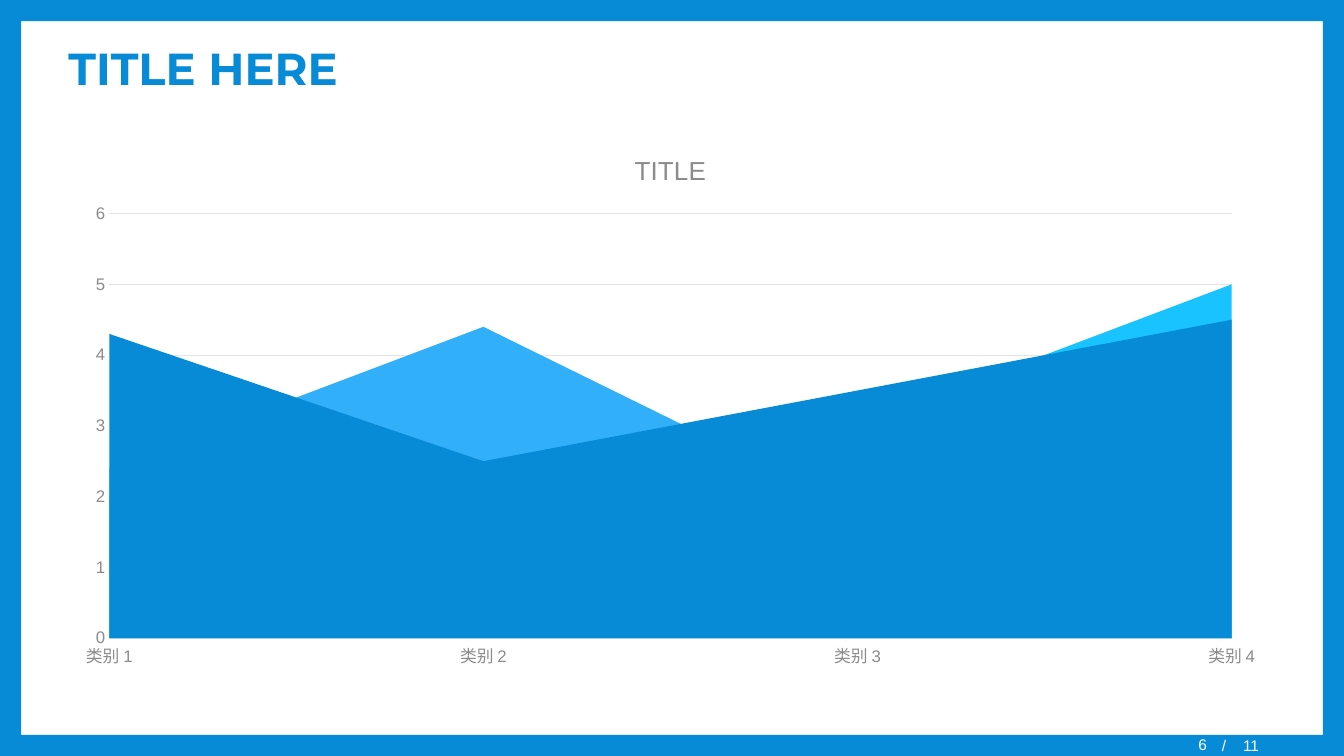
from dataclasses import dataclass

from lxml import etree
from pptx import Presentation
from pptx.chart.data import CategoryChartData
from pptx.dml.color import RGBColor
from pptx.enum.chart import XL_CHART_TYPE as ChartType, XL_TICK_MARK as TickMark
from pptx.enum.shapes import MSO_SHAPE as Shape
from pptx.enum.text import MSO_ANCHOR as Anchor, PP_ALIGN as Align
from pptx.oxml.ns import qn
from pptx.util import Inches, Pt


@dataclass(frozen=True)
class Theme:
    blue: RGBColor = RGBColor.from_string("078BD7")
    sky: RGBColor = RGBColor.from_string("31AFF8")
    cyan: RGBColor = RGBColor.from_string("19C3FF")
    white: RGBColor = RGBColor.from_string("FFFFFF")
    gray: RGBColor = RGBColor.from_string("8B8B8B")
    rule: RGBColor = RGBColor.from_string("E4E4E4")
    heading_font: str = "Montserrat"
    body_font: str = "Arial"
    heading: float = 32
    chart_title: float = 18.6
    axis: float = 12
    footer: float = 11


theme = Theme()


def style_font(font, name, size, color, bold=False):
    font.name, font.size, font.bold = name, Pt(size), bold
    font.color.rgb = color


def add_text(page, bounds, text, font_style, align=Align.LEFT):
    """Add a one-line, vertically centred text box and return it."""
    box = page.shapes.add_textbox(*map(Inches, bounds))
    frame = box.text_frame
    frame.word_wrap = True
    frame.vertical_anchor = Anchor.MIDDLE
    para = frame.paragraphs[0]
    para.alignment = align
    span = para.add_run()
    span.text = text
    style_font(span.font, *font_style)
    return box


deck = Presentation()
deck.slide_width, deck.slide_height = Inches(13.33), Inches(7.5)
page = deck.slides.add_slide(deck.slide_layouts[6])

# Border and heading
border = page.shapes.add_shape(Shape.FRAME, 0, 0, deck.slide_width, deck.slide_height)
border.adjustments[0] = 0.028
border.shadow.inherit = False
border.fill.solid()
border.fill.fore_color.rgb = theme.blue
border.line.fill.background()
add_text(page, (0.58, 0.28, 12.18, 0.79), "TITLE HERE",
         (theme.heading_font, theme.heading, theme.blue, True))

# Page counter
footer_style = (theme.body_font, theme.footer, theme.white)
total = add_text(page, (12.02, 7.3, 1.31, 0.18), "/\t11", footer_style)
properties = total.text_frame.paragraphs[0].runs[0].font
tab_list = etree.SubElement(total.text_frame.paragraphs[0]._p.get_or_add_pPr(), qn("a:tabLst"))
etree.SubElement(tab_list, qn("a:tab"), pos=str(Inches(0.21)), algn="l")
number = add_text(page, (9.48, 7.32, 2.59, 0.18), "6", footer_style, Align.RIGHT)
number.text_frame.margin_top = 0
number.text_frame.margin_bottom = Inches(0.05)

# Area chart
series_rows = [
    ("Series 1", (4.3, 2.5, 3.5, 4.5), theme.blue),
    ("Series 2", (2.4, 4.4, 1.8, 2.8), theme.sky),
    ("Series 3", (2, 2, 3, 5), theme.cyan),
]
chart_data = CategoryChartData()
chart_data.categories = [f"类别 {index}" for index in range(1, 5)]
for name, values, color in series_rows:
    chart_data.add_series(name, values)
chart = page.shapes.add_chart(
    ChartType.AREA, Inches(0.6), Inches(1.31), Inches(12.1), Inches(5.4), chart_data).chart
style_font(chart.font, theme.body_font, theme.axis, theme.gray)
chart.has_legend = False
for series, (name, values, color) in zip(chart.plots[0].series, series_rows):
    series.format.fill.solid()
    series.format.fill.fore_color.rgb = color
    series.format.line.fill.background()

chart.has_title = True
chart.chart_title.include_in_layout = False
title_span = chart.chart_title.text_frame.paragraphs[0].add_run()
title_span.text = "TITLE"
style_font(title_span.font, theme.body_font, theme.chart_title, theme.gray)

category_axis, value_axis = chart.category_axis, chart.value_axis
for axis in (category_axis, value_axis):
    axis.major_tick_mark = axis.minor_tick_mark = TickMark.NONE
    style_font(axis.tick_labels.font, theme.body_font, theme.axis, theme.gray)
category_axis.has_major_gridlines = False
value_axis.has_major_gridlines = True
value_axis.minimum_scale, value_axis.maximum_scale, value_axis.major_unit = 0, 6, 1
value_axis.format.line.fill.background()
for line in (category_axis.format.line, value_axis.major_gridlines.format.line):
    line.color.rgb = theme.rule
    line.width = Pt(0.75)

# Areas run from edge to edge of a fixed plot area
plot_area = chart._chartSpace.chart.plotArea
plot_area.find(".//" + qn("c:crossBetween")).set("val", "midCat")
for old_layout in plot_area.findall(qn("c:layout")):
    plot_area.remove(old_layout)
layout = etree.Element(qn("c:layout"))
plot_area.insert(0, layout)
manual = etree.SubElement(layout, qn("c:manualLayout"))
for tag, value in [("layoutTarget", "inner"), ("xMode", "edge"), ("yMode", "edge"),
                   ("x", "0.04"), ("y", "0.15"), ("w", "0.92"), ("h", "0.78")]:
    etree.SubElement(manual, qn(f"c:{tag}"), val=value)

deck.save("out.pptx")
